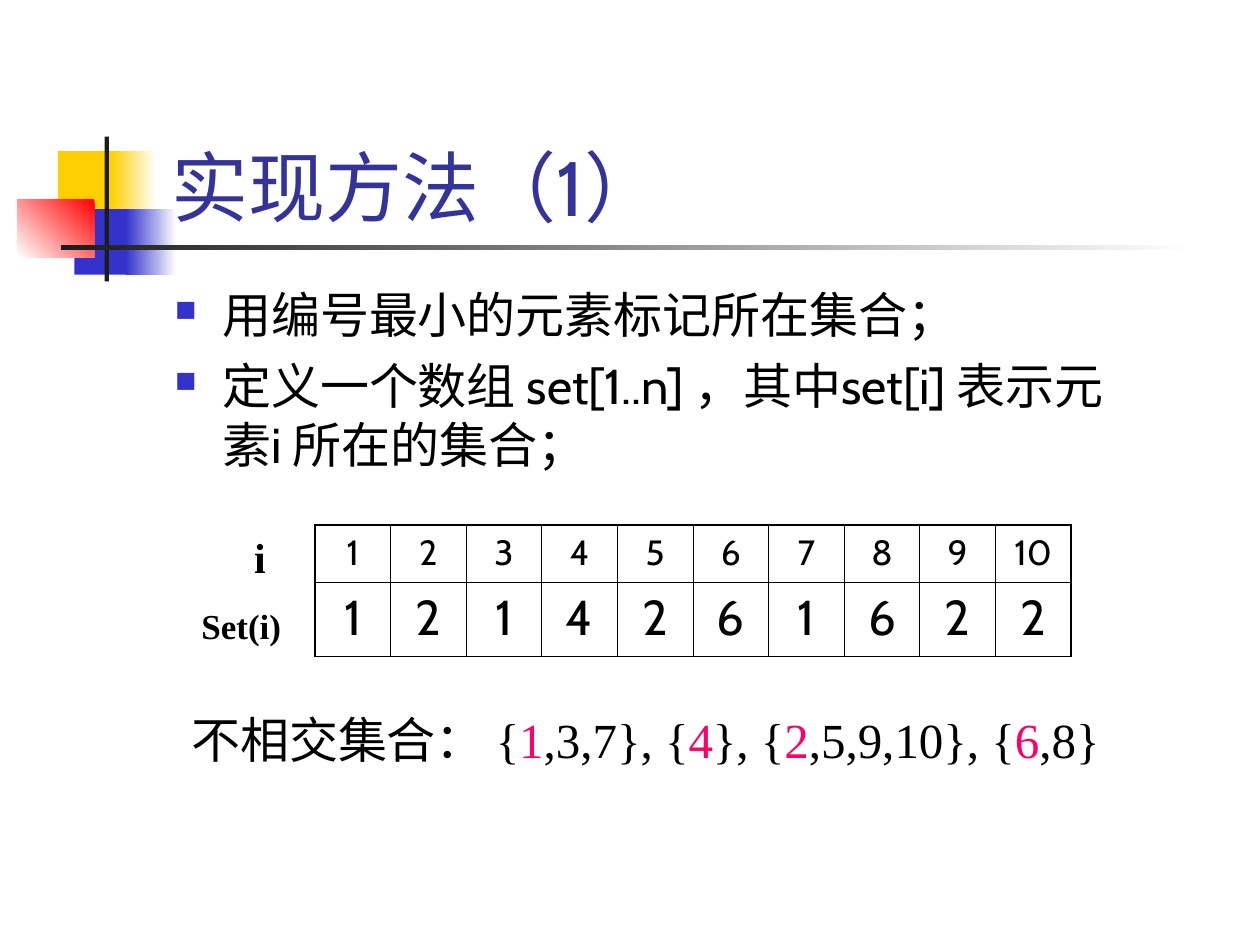
from pptx import Presentation
from pptx.util import Pt
from pptx.dml.color import RGBColor
from pptx.enum.shapes import MSO_SHAPE
from pptx.enum.text import MSO_ANCHOR, MSO_AUTO_SIZE, PP_ALIGN
from pptx.oxml import parse_xml
from pptx.oxml.ns import nsdecls

C = dict(gold="FFCF01", blue="3333CC", red="FF0000", dark="1C1C1C",
         white="FFFFFF", title="333399", black="000000", pink="FF0066")


def style(font, name, size, color="black", bold=None):
    font.name = name
    font.size = Pt(size)
    font.bold = bold
    font.color.rgb = RGBColor.from_string(C[color])


def box(x, y, w, h, wrap=True):
    frame = slide.shapes.add_textbox(Pt(x), Pt(y), Pt(w), Pt(h)).text_frame
    frame.word_wrap = wrap
    return frame


deck = Presentation()
deck.slide_width, deck.slide_height = Pt(720), Pt(540)
slide = deck.slides.add_slide(deck.slide_layouts[5])

bars = [
    (33.1, 86.4, 34.6, 37.4, ["gold"], 0),
    (63.4, 86.4, 25.9, 37.4, ["white", "gold"], 180),
    (42.5, 119.5, 33.1, 37.4, ["blue"], 0),
    (72, 119.5, 28.8, 37.4, ["white", "blue"], 180),
    (10, 113.8, 44, 33.1, ["red", "white"], 225),
    (59.8, 78, 2.4, 82.8, ["dark"], 0),
    (34.6, 140.2, 648, 2.4, ["white", "dark"], 180),
]
for x, y, w, h, tones, angle in bars:
    bar = slide.shapes.add_shape(MSO_SHAPE.RECTANGLE, Pt(x), Pt(y), Pt(w), Pt(h))
    bar.shadow.inherit = False
    bar.line.fill.background()
    if len(tones) == 1:
        bar.fill.solid()
        bar.fill.fore_color.rgb = RGBColor.from_string(C[tones[0]])
    else:
        bar.fill.gradient()
        bar.fill.gradient_angle = angle
        for stop, tone in zip(bar.fill.gradient_stops, tones):
            stop.color.rgb = RGBColor.from_string(C[tone])

title = slide.shapes.title
title.left, title.top, title.width, title.height = Pt(90.7), Pt(16.6), Pt(622), Pt(119.5)
frame = title.text_frame
frame.text = "实现方法（1）"
frame.vertical_anchor = MSO_ANCHOR.BOTTOM
frame.auto_size = MSO_AUTO_SIZE.NONE
frame.paragraphs[0].alignment = PP_ALIGN.LEFT
style(frame.paragraphs[0].font, "Cabin", 44, "title")

frame = box(92.9, 159.1, 550.8, 128.2)
frame.text = "用编号最小的元素标记所在集合；\n定义一个数组 set[1..n] ，其中set[i] 表示元素i 所在的集合；"
for para in frame.paragraphs:
    para.space_before = Pt(7)
    style(para.font, "Cabin", 28)
    props = para._p.get_or_add_pPr()
    props.set("marL", str(Pt(27)))
    props.set("indent", str(-Pt(27)))
    marks = (f'<a:buClr {nsdecls("a")}><a:srgbClr val="{C["blue"]}"/></a:buClr>',
             f'<a:buSzPct {nsdecls("a")} val="60000"/>',
             f'<a:buChar {nsdecls("a")} char="■"/>')
    spot = list(props).index(props.find("{*}spcBef")) + 1
    for step, mark in enumerate(marks):
        props.insert(spot + step, parse_xml(mark))

rows = [(range(1, 11), 20, 5, 32.4), ([1, 2, 1, 4, 2, 6, 1, 6, 2, 2], 28, 7, 42.5)]
grid = slide.shapes.add_table(2, 10, Pt(180), Pt(300.2), Pt(432), Pt(74.9)).table
grid.first_row = grid.horz_banding = False
for col in grid.columns:
    col.width = Pt(43.2)
for r, (nums, size, gap, high) in enumerate(rows):
    grid.rows[r].height = Pt(high)
    for c, num in enumerate(nums):
        cell = grid.cell(r, c)
        cell.text = str(num)
        para = cell.text_frame.paragraphs[0]
        para.alignment = PP_ALIGN.CENTER
        para.space_before = Pt(gap)
        style(para.font, "Cabin", size)
        props = cell._tc.get_or_add_tcPr()
        for side, edge in zip("LRTB", (c == 0, c == 9, r == 0, r == 1)):
            wide = Pt(1.08 if edge else 0.45)
            props.append(parse_xml(
                f'<a:ln{side} {nsdecls("a")} w="{wide}"><a:solidFill>'
                f'<a:srgbClr val="{C["black"]}"/></a:solidFill></a:ln{side}>'))
        cell.fill.background()

labels = [("i", 138.2, 300.2, 20.9, 36, 24, False),
          ("Set(i)", 108, 342, 66.2, 31.7, 20, True)]
for text, x, y, w, h, size, wrap in labels:
    frame = box(x, y, w, h, wrap)
    frame.text = text
    style(frame.paragraphs[0].font, "Times New Roman", size, bold=True)

para = box(102.2, 401.8, 545.8, 41).paragraphs[0]
parts = ["不相交集合： {", "1", ",3,7}, {", "4", "}, {", "2", ",5,9,10}, {", "6", ",8}"]
for n, part in enumerate(parts):
    run = para.add_run()
    run.text = part
    style(run.font, "Times New Roman", 28, "pink" if n % 2 else "black")

deck.save("out.pptx")
